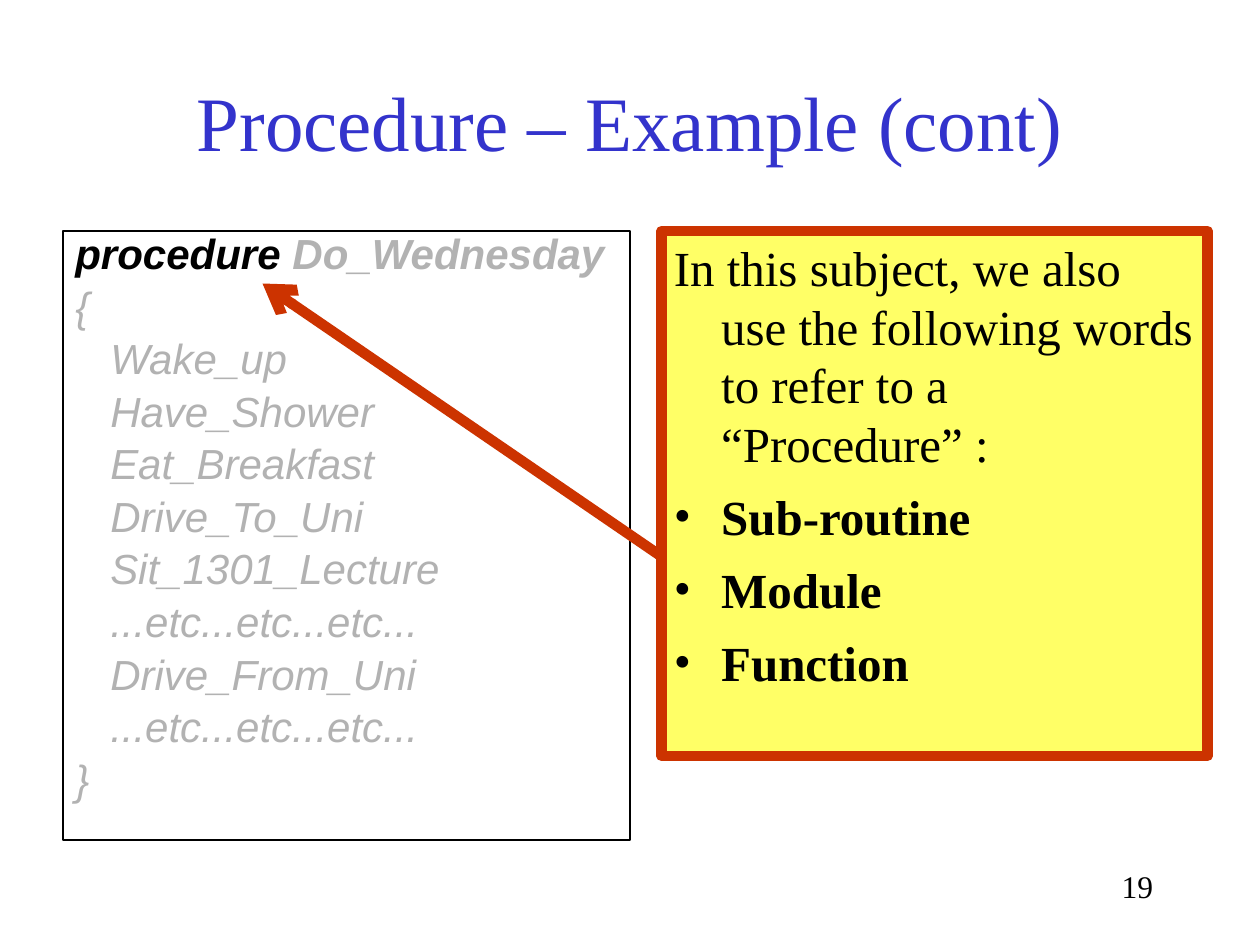
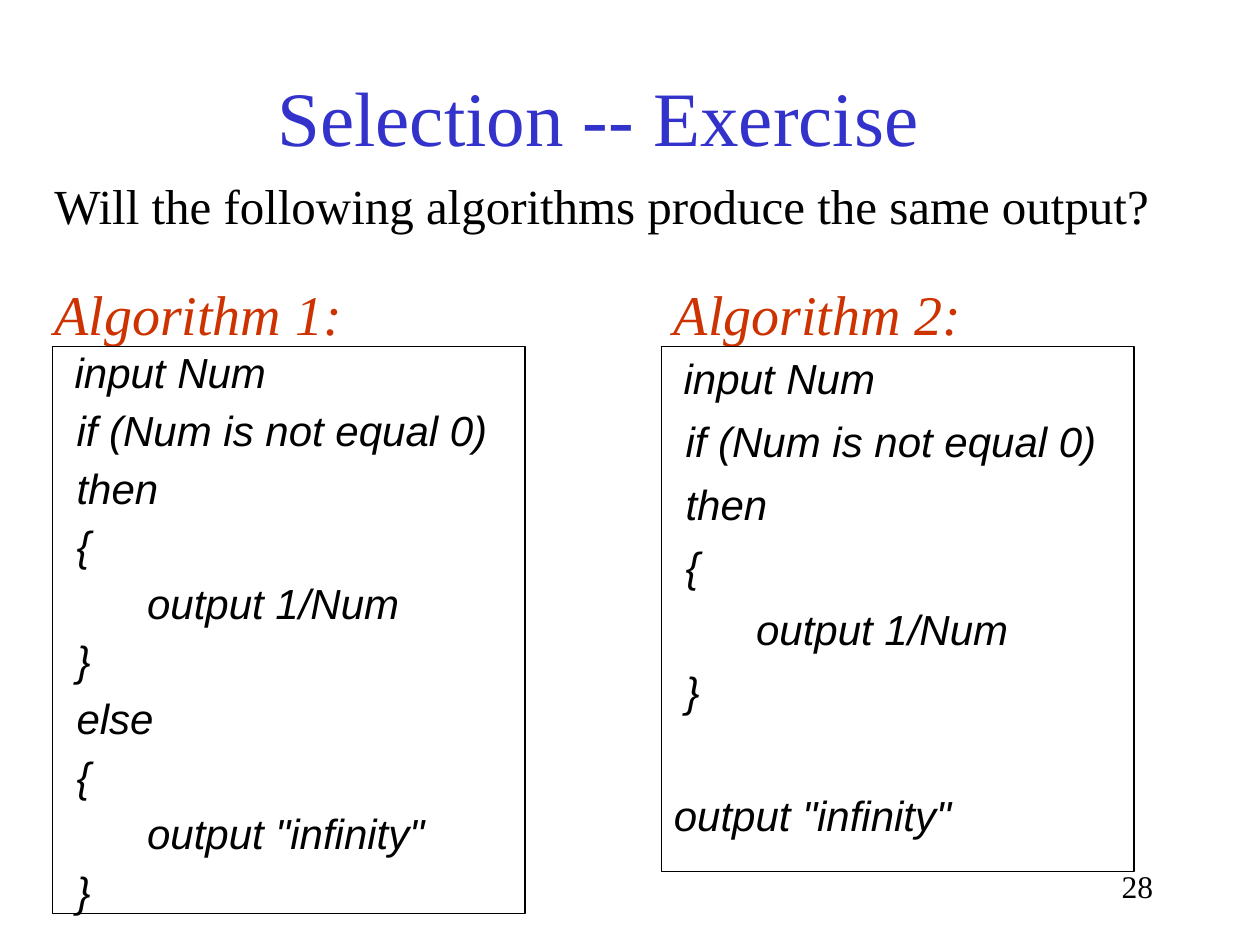
from lxml.etree import SubElement
from pptx import Presentation
from pptx.dml.color import RGBColor
from pptx.enum.shapes import MSO_CONNECTOR, MSO_SHAPE
from pptx.enum.text import MSO_ANCHOR, PP_ALIGN
from pptx.oxml.ns import qn
from pptx.util import Inches, Pt

# Shared style
INK = {"title": "3333CC", "text": "000000", "dim": "B2B2B2",
       "accent": "CC3300", "note": "FFFF66"}
SERIF, SANS = "Times New Roman", "Arial"
COLS, ROWS = 120, 90
WIDE, HIGH = Inches(10), Inches(7.5)
HANG = 4.5  # hanging indent in columns


def grid(col, row):
    return round(WIDE * col / COLS), round(HIGH * row / ROWS)


def tone(name):
    return RGBColor.from_string(INK[name])


# Text
def style(run, font=SERIF, size=28, ink="text", bold=False, slant=False):
    face = run.font
    face.name, face.size = font, Pt(size)
    face.bold, face.italic = bold, slant
    face.color.rgb = tone(ink)


def write(frame, lines, gap=0, lead=1.0, align=PP_ALIGN.LEFT, **look):
    """Each line is a string or a list of (text, look changes) pairs."""
    frame.word_wrap = True
    for i, line in enumerate(lines):
        para = frame.add_paragraph() if i else frame.paragraphs[0]
        para.alignment, para.line_spacing = align, lead
        para.space_before = Pt(gap if i else 0)
        parts = [(line, {})] if isinstance(line, str) else line
        for text, change in parts:
            run = para.add_run()
            run.text = text
            style(run, **{**look, **change})


def hang(para, mark=None):
    props = para._p.get_or_add_pPr()
    step = grid(HANG, 0)[0]
    props.set("marL", str(step))
    props.set("indent", str(-step))
    if mark:
        SubElement(props, qn("a:buFont")).set("typeface", SERIF)
        SubElement(props, qn("a:buChar")).set("char", mark)
    else:
        SubElement(props, qn("a:buNone"))


def label(slide, spot, span, text, anchor=MSO_ANCHOR.MIDDLE, **look):
    box = slide.shapes.add_textbox(*grid(*spot), *grid(*span))
    box.text_frame.vertical_anchor = anchor
    write(box.text_frame, [text], **look)


def title(slide, spot, span, text):
    label(slide, spot, span, text, size=44, ink="title", align=PP_ALIGN.CENTER)


def number(slide, value):
    label(slide, (86, 82), (25, 6), str(value), MSO_ANCHOR.TOP,
          size=18, align=PP_ALIGN.RIGHT)


# Framed boxes and arrow
def panel(slide, spot, span, edge="text", width=0.75, fill=None):
    box = slide.shapes.add_shape(MSO_SHAPE.RECTANGLE, *grid(*spot), *grid(*span))
    box.shadow.inherit = False
    if fill:
        box.fill.solid()
        box.fill.fore_color.rgb = tone(fill)
    else:
        box.fill.background()
    box.line.color.rgb, box.line.width = tone(edge), Pt(width)
    box.text_frame.vertical_anchor = MSO_ANCHOR.TOP
    return box.text_frame


def code(slide, spot, span, lines, lead=1.0, ink="text"):
    frame = panel(slide, spot, span)
    write(frame, lines, gap=7, lead=lead, font=SANS, size=24, ink=ink, slant=True)
    for para in frame.paragraphs:
        hang(para)
    return frame


def note(slide, spot, span, intro, items):
    frame = panel(slide, spot, span, "accent", 6, "note")
    write(frame, [intro] + [[(item, {"bold": True})] for item in items], gap=8)
    for i, para in enumerate(frame.paragraphs):
        hang(para, "•" if i else None)


def arrow(slide, tip, tail):
    line = slide.shapes.add_connector(MSO_CONNECTOR.STRAIGHT, *grid(*tip), *grid(*tail))
    line.line.color.rgb, line.line.width = tone("accent"), Pt(6)
    SubElement(line.line._get_or_add_ln(), qn("a:headEnd")).set("type", "arrow")
    SubElement(line._element.spPr, qn("a:effectLst"))


# Slides
def example(slide):
    title(slide, (9, 6), (102, 11), "Procedure – Example (cont)")
    steps = ["Wake_up", "Have_Shower", "Eat_Breakfast", "Drive_To_Uni",
             "Sit_1301_Lecture", "...etc...etc...etc...", "Drive_From_Uni",
             "...etc...etc...etc..."]
    head = [("procedure ", {"bold": True, "ink": "text"}),
            ("Do_Wednesday", {"bold": True})]
    code(slide, (6, 22), (54, 58),
         [head, "{"] + ["   " + step for step in steps] + ["}"], 0.8, "dim")
    note(slide, (63, 22), (52, 50),
         "In this subject, we also use the following words to refer to a “Procedure” :",
         ["Sub-routine", "Module", "Function"])
    arrow(slide, (25, 27), (63, 53))
    number(slide, 19)


def exercise(slide):
    title(slide, (6, 5), (102, 12), "Selection -- Exercise")
    label(slide, (4, 16), (112, 7),
          "Will the following algorithms produce the same output?")
    for i, col in enumerate((4, 63), 1):
        label(slide, (col, 26), (44, 7.7), f"Algorithm {i}:",
              size=32, ink="accent", slant=True)
    test = [[(" ", {"size": 20}), ("input Num", {})],
            " if (Num is not equal 0)", " then", " {", " \t   output 1/Num", " }"]
    other = [" else", " {", "\t   output \"infinity\"", " }"]
    code(slide, (5, 33), (45, 54), test + other, 0.9)
    after = code(slide, (63, 33), (45, 50), test + ["output \"infinity\""])
    after.paragraphs[-1].space_before = Pt(42)  # one line left free
    number(slide, 28)


def main():
    deck = Presentation()
    deck.slide_width, deck.slide_height = WIDE, HIGH
    for build in (example, exercise):
        build(deck.slides.add_slide(deck.slide_layouts[6]))
    deck.save("out.pptx")


if __name__ == "__main__":
    main()
